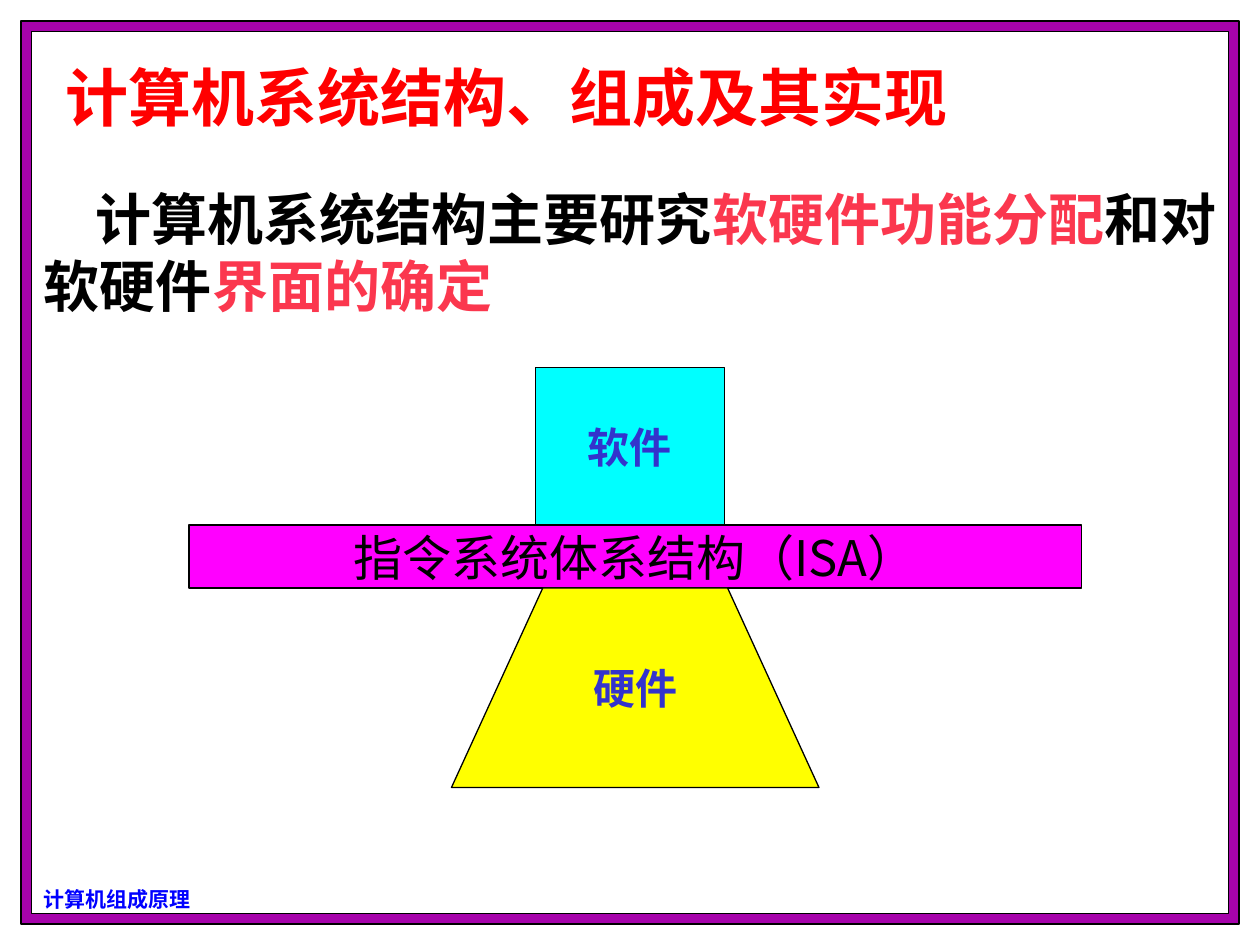
from pptx import Presentation
from pptx.dml.color import RGBColor
from pptx.enum.shapes import MSO_SHAPE
from pptx.enum.text import MSO_ANCHOR, PP_ALIGN
from pptx.oxml.ns import qn
from pptx.util import Pt
from lxml import etree

PX = 7620
SANS = "Noto Sans CJK SC"
SERIF = "Times New Roman"
COLORS = {
    "black": "000000", "white": "FFFFFF", "frame": "A603AB", "footer": "0000FF",
    "title": "FF0000", "accent": "FB374E", "isa": "FF00FF", "hardware": "FFFF00",
    "software": "00FFFF", "label": "3333CC",
}


def color(name):
    return RGBColor.from_string(COLORS[name])


def scale(*lengths):
    return [length * PX for length in lengths]


def paint(shape, fill):
    shape.shadow.inherit = False
    shape.fill.solid()
    shape.fill.fore_color.rgb = color(fill)
    shape.line.color.rgb = color("black")
    shape.line.width = Pt(0.75)


def add_box(slide, box, fill):
    rectangle = slide.shapes.add_shape(MSO_SHAPE.RECTANGLE, *scale(*box))
    paint(rectangle, fill)
    return rectangle


def write(shape, runs, size, font=SANS, bold=True, align=PP_ALIGN.LEFT,
          anchor=MSO_ANCHOR.TOP, wrap=True):
    frame = shape.text_frame
    frame.word_wrap = wrap
    frame.vertical_anchor = anchor
    paragraph = frame.paragraphs[0]
    paragraph.alignment = align
    for text, ink in runs:
        run = paragraph.add_run()
        run.text = text
        run.font.size = Pt(size)
        run.font.bold = bold
        run.font.name = font
        run.font.color.rgb = color(ink)
        east_asian = etree.Element(qn("a:ea"), typeface=SANS)
        run.font._element.find(qn("a:latin")).addnext(east_asian)
    return paragraph


def add_frame(slide, box, border):
    left, top, width, height = box
    add_box(slide, box, "frame")
    add_box(slide, (left + border, top + border,
                    width - 2 * border, height - 2 * border), "white")


def add_footer(slide, box):
    footer = slide.shapes.add_textbox(*scale(*box))
    write(footer, [("计算机组成原理", "footer")], 12)


def place_title(slide, box):
    title = slide.shapes.title
    title.left, title.top, title.width, title.height = scale(*box)
    write(title, [("计算机系统结构、组成及其实现", "title")], 36, align=PP_ALIGN.JUSTIFY)
    tree = title._element.getparent()
    tree.append(title._element)


def add_statement(slide, box, indent):
    statement = slide.shapes.add_textbox(*scale(*box))
    paragraph = write(statement, [
        ("计算机系统结构主要研究", "black"),
        ("软硬件功能分配", "accent"),
        ("和对软硬件", "black"),
        ("界面的确定", "accent"),
    ], 32)
    paragraph._p.get_or_add_pPr().set("indent", str(indent * PX))


def add_layers(slide, box):
    left, top, width, height = box
    software_height, isa_height = 150, 60
    isa_top = top + software_height
    base_top = isa_top + isa_height
    base_left, base_width, slope = left + 250, 350, 87
    base_right, bottom = base_left + base_width, top + height
    centred = {"align": PP_ALIGN.CENTER, "anchor": MSO_ANCHOR.MIDDLE, "wrap": False}

    isa = add_box(slide, (left, isa_top, width, isa_height), "isa")
    write(isa, [("指令系统体系结构（ISA）", "black")], 28, bold=False, **centred)

    outline = slide.shapes.build_freeform(base_left, bottom, scale=PX)
    outline.add_line_segments([(base_left + slope, base_top),
                               (base_right - slope, base_top),
                               (base_right, bottom)])
    hardware = outline.convert_to_shape()
    paint(hardware, "hardware")
    write(hardware, [("硬件", "label")], 24, SERIF, **centred)

    software = add_box(slide, (left + 330, top, 180, software_height), "software")
    write(software, [("软件", "label")], 24, SERIF, **centred)


def main():
    presentation = Presentation()
    presentation.slide_width, presentation.slide_height = scale(1200, 900)
    slide = presentation.slides.add_slide(presentation.slide_layouts[5])
    add_frame(slide, (20, 20, 1160, 860), 10)
    add_footer(slide, (30, 838, 180, 36))
    place_title(slide, (50, 50, 980, 84))
    add_statement(slide, (30, 170, 1170, 204), 49)
    add_layers(slide, (180, 350, 850, 400))
    presentation.save("out.pptx")


if __name__ == "__main__":
    main()
